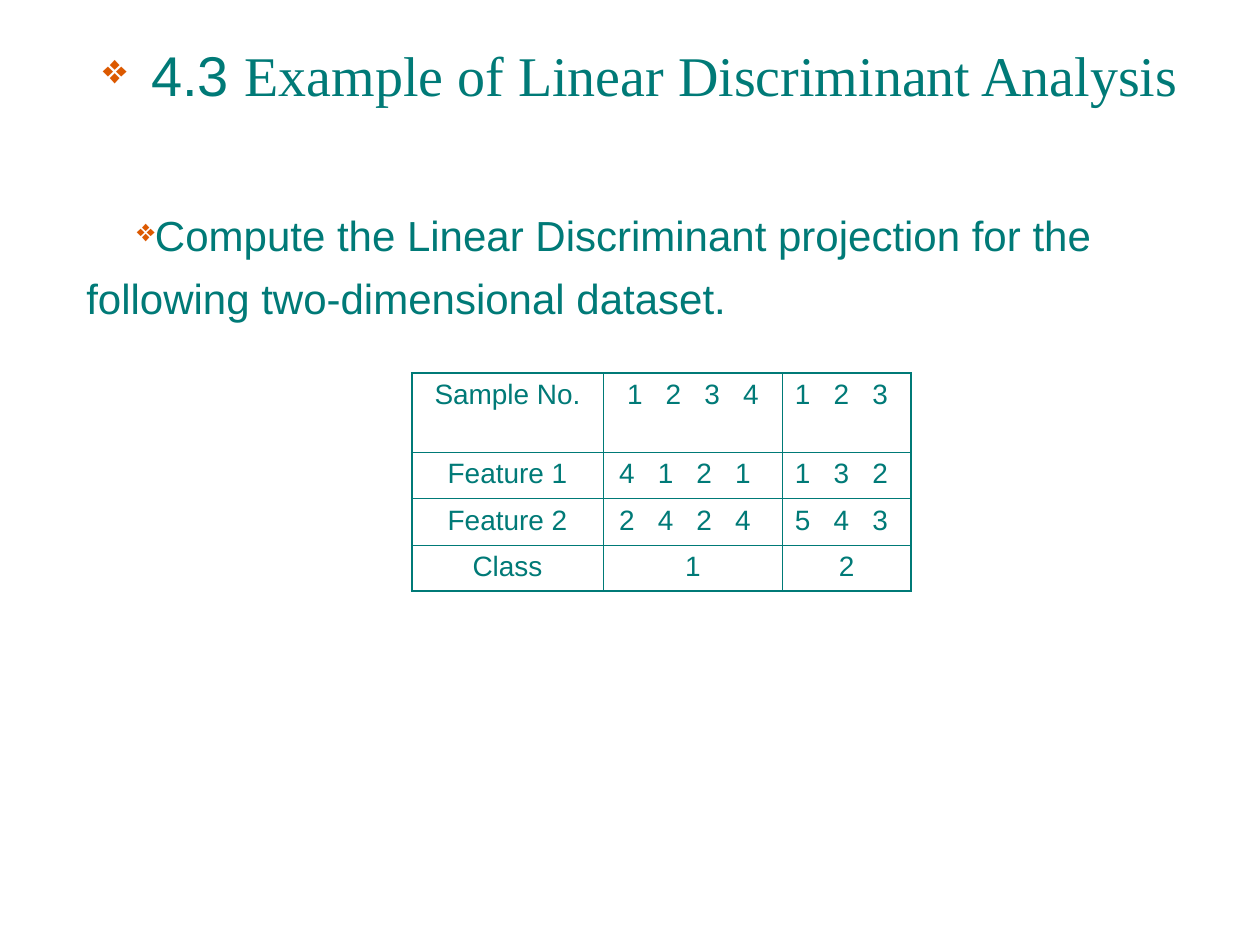
from lxml import etree
from pptx import Presentation
from pptx.dml.color import RGBColor
from pptx.enum.text import MSO_AUTO_SIZE, PP_ALIGN
from pptx.oxml.ns import qn
from pptx.util import Cm, Pt

CENTER, LEFT = PP_ALIGN.CENTER, PP_ALIGN.LEFT
FIT_SHAPE = MSO_AUTO_SIZE.SHAPE_TO_FIT_TEXT
TEAL, ORANGE = "007A77", "DC5900"
THIN, THICK = Pt(0.45), Pt(1.08)
BLANK_LAYOUT = 6

COLUMN_WIDTHS = [3.86, 3.61, 2.59]
ROW_HEIGHTS = [1.6, 0.93, 0.93, 0.93]
DIGIT_PITCH = 0.78
TABLE_ROWS = [
    ["Sample No.", "1\t2\t3\t4", "1\t2\t3"],
    ["Feature 1", "4\t1\t2\t1", "1\t3\t2"],
    ["Feature 2", "2\t4\t2\t4", "5\t4\t3"],
    ["Class", "1", "2"],
]


def color(hex_string):
    return RGBColor.from_string(hex_string)


def add_run(paragraph, text, size, font_name="Arial"):
    run = paragraph.add_run()
    run.text = text
    run.font.size = Pt(size)
    run.font.name = font_name
    run.font.color.rgb = color(TEAL)


def add_bullet(paragraph, margin, indent):
    properties = paragraph._p.get_or_add_pPr()
    properties.set("marL", str(margin))
    properties.set("indent", str(indent))
    bullet_color = etree.SubElement(properties, qn("a:buClr"))
    etree.SubElement(bullet_color, qn("a:srgbClr"), val=ORANGE)
    etree.SubElement(properties, qn("a:buSzPct"), val="75000")
    etree.SubElement(properties, qn("a:buChar"), char="❖")


def add_bulleted_text(slide, left, top, width, height, margin, indent, runs):
    """Add a one-paragraph text box; each run is (text, size, font name)."""
    box = slide.shapes.add_textbox(Cm(left), Cm(top), Cm(width), Cm(height))
    box.text_frame.word_wrap = True
    box.text_frame.auto_size = FIT_SHAPE
    paragraph = box.text_frame.paragraphs[0]
    add_bullet(paragraph, Cm(margin), Cm(indent))
    for run in runs:
        add_run(paragraph, *run)
    return paragraph


def add_digit_tabs(paragraph, count):
    tabs = etree.SubElement(paragraph._p.get_or_add_pPr(), qn("a:tabLst"))
    for number in range(1, count + 1):
        etree.SubElement(tabs, qn("a:tab"), pos=str(Cm(DIGIT_PITCH * number)), algn="l")


def set_borders(cell, row, column):
    """Draw thick lines on the table's outer edge and thin ones inside."""
    outer_edges = {
        "L": column == 0,
        "R": column == len(COLUMN_WIDTHS) - 1,
        "T": row == 0,
        "B": row == len(ROW_HEIGHTS) - 1,
    }
    properties = cell._tc.get_or_add_tcPr()
    for position, (side, is_outer) in enumerate(outer_edges.items()):
        line = etree.Element(qn(f"a:ln{side}"), w=str(THICK if is_outer else THIN))
        fill = etree.SubElement(line, qn("a:solidFill"))
        etree.SubElement(fill, qn("a:srgbClr"), val=TEAL)
        properties.insert(position, line)


def fill_cell(cell, row, column, text):
    cell.fill.background()
    set_borders(cell, row, column)
    paragraph = cell.text_frame.paragraphs[0]
    tab_count = text.count("\t")
    if tab_count:
        paragraph.alignment = LEFT
        add_digit_tabs(paragraph, tab_count)
        if column == 1:
            cell.margin_left = Cm(0.48 if row == 0 else 0.32)
    else:
        paragraph.alignment = CENTER
    add_run(paragraph, text, 16)


def add_dataset_table(slide):
    frame = slide.shapes.add_table(
        len(ROW_HEIGHTS), len(COLUMN_WIDTHS), Cm(8.3), Cm(7.52),
        Cm(sum(COLUMN_WIDTHS)), Cm(sum(ROW_HEIGHTS)))
    table = frame.table
    table.first_row = table.horz_banding = False
    for column, width in zip(table.columns, COLUMN_WIDTHS):
        column.width = Cm(width)
    for row, height in zip(table.rows, ROW_HEIGHTS):
        row.height = Cm(height)
    for row, texts in enumerate(TABLE_ROWS):
        for column, text in enumerate(texts):
            fill_cell(table.cell(row, column), row, column, text)


def main():
    presentation = Presentation()
    presentation.slide_width, presentation.slide_height = Cm(25.4), Cm(19.05)
    slide = presentation.slides.add_slide(presentation.slide_layouts[BLANK_LAYOUT])

    task = add_bulleted_text(
        slide, 0.89, 3.84, 24.2, 2.69, 0.6, 1.02,
        [("Compute the Linear Discriminant projection for the following "
          "two-dimensional dataset.", 24, "Arial")])
    task.line_spacing = 1.25

    add_dataset_table(slide)

    title = add_bulleted_text(
        slide, 0.81, 0.69, 24.5, 1.63, 0.97, -0.97,
        [("4.3 ", 32, "Arial"),
         ("Example of Linear Discriminant Analysis ", 32, "Times New Roman")])
    title.alignment = CENTER

    presentation.save("out.pptx")


if __name__ == "__main__":
    main()
